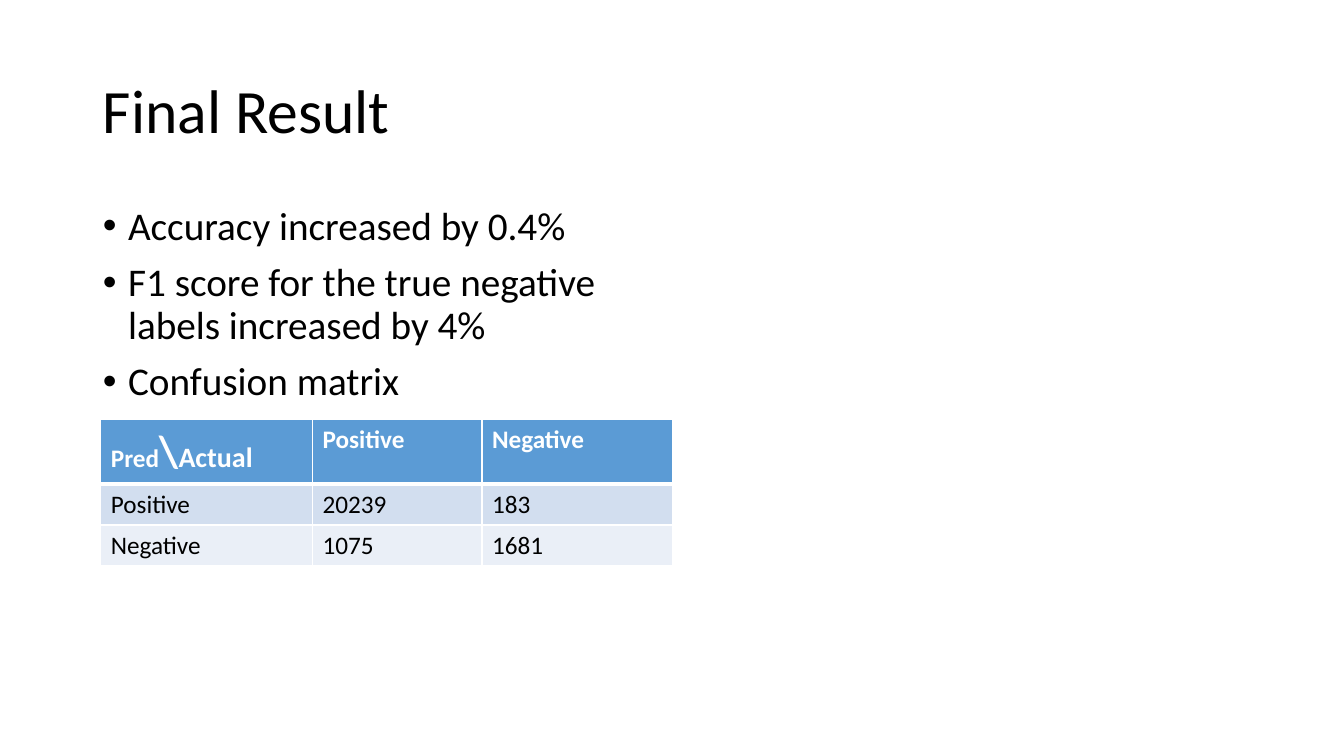
from lxml import etree
from pptx import Presentation
from pptx.dml.color import RGBColor
from pptx.enum.text import MSO_ANCHOR, MSO_AUTO_SIZE, PP_ALIGN
from pptx.oxml.ns import qn
from pptx.util import Inches, Pt

LEFT = PP_ALIGN.LEFT
TOP, MIDDLE = MSO_ANCHOR.TOP, MSO_ANCHOR.MIDDLE
NO_AUTOFIT = MSO_AUTO_SIZE.NONE

THEME = {
    "font": "Calibri",
    "text": "000000", "header_text": "FFFFFF", "border": "FFFFFF",
    "row_fills": ["5B9BD5", "D2DEEF", "EAEFF7"],
    "title": 44, "body": 28, "table": 18, "slash": 32, "actual": 20,
}


def style_font(font, size, color, bold=False):
    """Apply the theme font with a size, colour and weight."""
    font.name = THEME["font"]
    font.size = Pt(size)
    font.bold = bold
    font.color.rgb = RGBColor.from_string(color)


def add_border(cell, side, width):
    """Draw one solid border on a cell; call before filling the cell."""
    line = etree.SubElement(cell._tc.get_or_add_tcPr(), qn(f"a:ln{side}"), w=str(Pt(width)))
    fill = etree.SubElement(line, qn("a:solidFill"))
    etree.SubElement(fill, qn("a:srgbClr"), val=THEME["border"])


deck = Presentation()
deck.slide_width, deck.slide_height = Inches(13.33), Inches(7.5)
page = deck.slides.add_slide(deck.slide_layouts[1])

# Title
title = page.shapes.title
title.left, title.top = Inches(0.92), Inches(0.4)
title.width, title.height = Inches(11.5), Inches(1.45)
title.text_frame.text = "Final Result"
title.text_frame.auto_size = NO_AUTOFIT
title.text_frame.vertical_anchor = MIDDLE
para = title.text_frame.paragraphs[0]
para.alignment = LEFT
para.line_spacing = 0.9
style_font(para.font, THEME["title"], THEME["text"])

# Findings
findings = page.placeholders[1]
findings.left, findings.top = Inches(0.92), Inches(2)
findings.width, findings.height = Inches(5.67), Inches(4.76)
frame = findings.text_frame
frame.text = "\n".join([
    "Accuracy increased by 0.4%",
    "F1 score for the true negative labels increased by 4%",
    "Confusion matrix ",
])
frame.auto_size = NO_AUTOFIT
frame.vertical_anchor = TOP
for para in frame.paragraphs:
    para.line_spacing = 0.9
    para.space_before = Pt(10)
    style_font(para.font, THEME["body"], THEME["text"])
    properties = para._p.get_or_add_pPr()
    properties.set("marL", str(Inches(0.25)))
    properties.set("indent", str(Inches(-0.25)))
    etree.SubElement(properties, qn("a:buFont"), typeface="Arial")
    etree.SubElement(properties, qn("a:buChar"), char="•")
    properties.append(properties.find(qn("a:defRPr")))

# Confusion matrix; each cell is a list of (text, size) spans
size = THEME["table"]
header_corner = [("Pred", size), ("\\", THEME["slash"]), ("Actual", THEME["actual"])]
matrix = [
    [header_corner, [("Positive", size)], [("Negative", size)]],
    [[("Positive", size)], [("20239", size)], [("183", size)]],
    [[("Negative", size)], [("1075", size)], [("1681", size)]],
]
column_widths = [2.1, 1.68, 1.89]
row_heights = [0.64, 0.4, 0.4]
table = page.shapes.add_table(
    len(row_heights), len(column_widths), Inches(1), Inches(4.16),
    Inches(sum(column_widths)), Inches(sum(row_heights))).table
for column, width in zip(table.columns, column_widths):
    column.width = Inches(width)
for row, height in zip(table.rows, row_heights):
    row.height = Inches(height)

for row_index, row in enumerate(matrix):
    is_header = row_index == 0
    color = THEME["header_text"] if is_header else THEME["text"]
    for column_index, spans in enumerate(row):
        cell = table.cell(row_index, column_index)
        for side in "LRTB":
            # The rule below the header is shared with the first data row
            heavy = (row_index, side) in [(0, "B"), (1, "T")]
            add_border(cell, side, 3 if heavy else 1)
        cell.fill.solid()
        cell.fill.fore_color.rgb = RGBColor.from_string(THEME["row_fills"][row_index])
        para = cell.text_frame.paragraphs[0]
        for text, span_size in spans:
            span = para.add_run()
            span.text = text
            style_font(span.font, span_size, color, bold=is_header)

deck.save("out.pptx")
